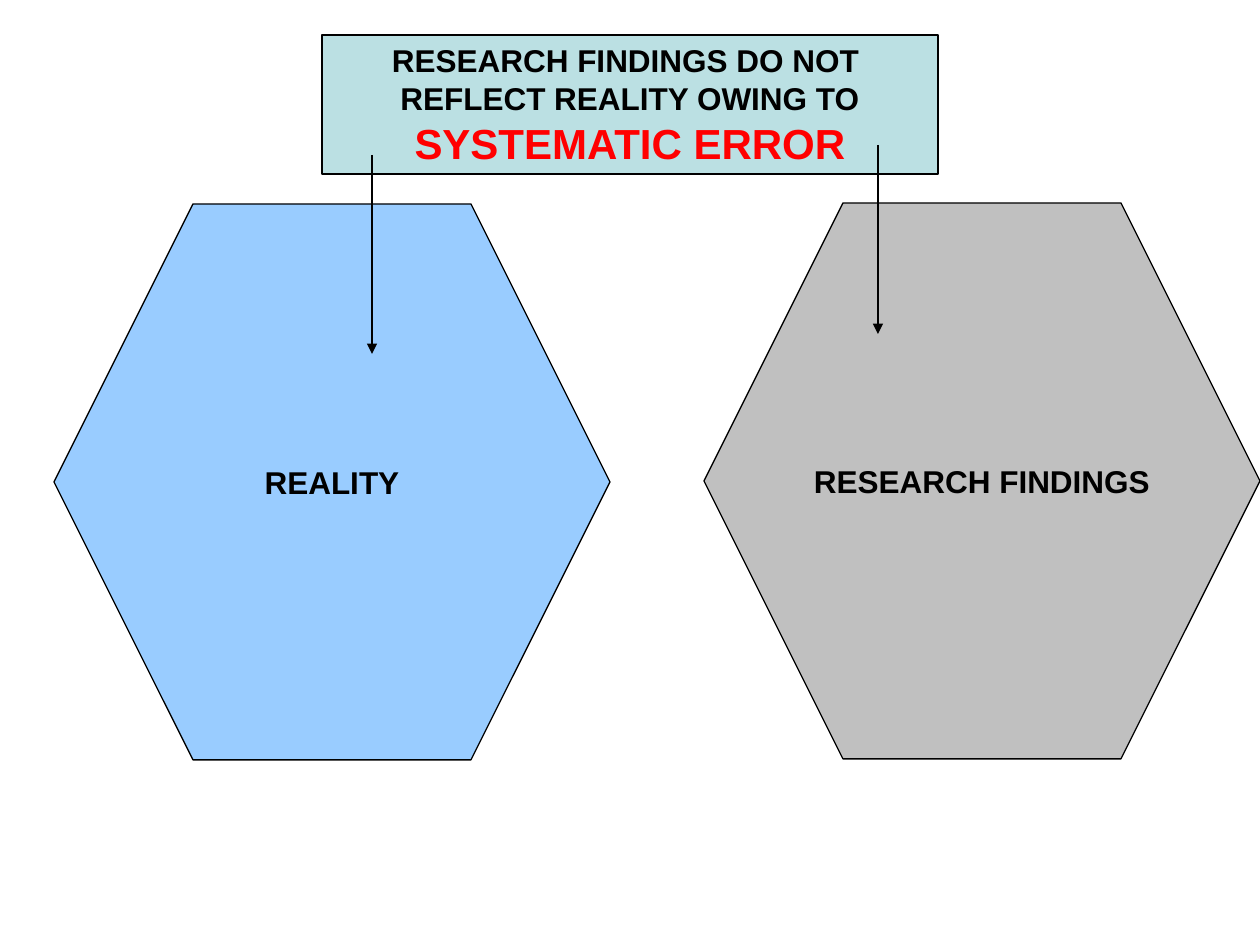
from dataclasses import dataclass

import pptx
import pptx.dml.color
import pptx.enum.shapes
import pptx.enum.text
import pptx.oxml
import pptx.oxml.ns
import pptx.util

PIXELS_PER_INCH = 126
SHAPES = pptx.enum.shapes.MSO_SHAPE


@dataclass(frozen=True)
class Theme:
    font: str = "Arial"
    ink: str = "000000"
    accent: str = "FF0000"
    banner: str = "BBE0E3"
    reality: str = "99CCFF"
    findings: str = "C0C0C0"
    body_size: int = 18
    accent_size: int = 24
    line_width: float = 0.75


THEME = Theme()


def px(length):
    return pptx.util.Emu(round(length * 914400 / PIXELS_PER_INCH))


def rgb(value):
    return pptx.dml.color.RGBColor.from_string(value)


def style_line(line):
    line.color.rgb = rgb(THEME.ink)
    line.width = pptx.util.Pt(THEME.line_width)


def add_label(slide, kind, box, fill, lines):
    """Add an outlined shape with centred bold lines of (text, size, colour)."""
    shape = slide.shapes.add_shape(kind, *(px(length) for length in box))
    shape.shadow.inherit = False
    shape.fill.solid()
    shape.fill.fore_color.rgb = rgb(fill)
    style_line(shape.line)

    frame = shape.text_frame
    frame.word_wrap = False
    frame.vertical_anchor = pptx.enum.text.MSO_ANCHOR.MIDDLE
    frame.text = "\n".join(text for text, _, _ in lines)
    for paragraph, (_, size, color) in zip(frame.paragraphs, lines):
        paragraph.alignment = pptx.enum.text.PP_ALIGN.CENTER
        paragraph.font.name = THEME.font
        paragraph.font.size = pptx.util.Pt(size)
        paragraph.font.bold = True
        paragraph.font.color.rgb = rgb(color)
    return shape


def add_hexagon(slide, left, top, fill, text):
    side = 556
    hexagon = add_label(slide, SHAPES.HEXAGON, (left, top, side, side), fill,
                        [(text, THEME.body_size, THEME.ink)])
    hexagon.adjustments[0] = 0.25


def add_down_arrow(slide, x, top, bottom):
    arrow = slide.shapes.add_connector(
        pptx.enum.shapes.MSO_CONNECTOR.STRAIGHT,
        px(x), px(top), px(x), px(bottom))
    style_line(arrow.line)
    # Arrowhead at the lower end, and no shadow
    head = pptx.oxml.parse_xml(
        f'<a:tailEnd {pptx.oxml.ns.nsdecls("a")} type="triangle"/>')
    arrow.line._get_or_add_ln().append(head)
    arrow._element.spPr.append(pptx.oxml.parse_xml(
        f'<a:effectLst {pptx.oxml.ns.nsdecls("a")}/>'))


def main():
    presentation = pptx.Presentation()
    presentation.slide_width = px(1260)
    presentation.slide_height = px(945)
    slide = presentation.slides.add_slide(presentation.slide_layouts[6])

    # The two compared worlds
    add_hexagon(slide, 704, 203, THEME.findings, "RESEARCH FINDINGS")
    add_hexagon(slide, 54, 204, THEME.reality, "REALITY")

    # Banner with the reason for the mismatch
    add_label(slide, SHAPES.RECTANGLE, (322, 35, 616, 139), THEME.banner, [
        ("RESEARCH FINDINGS DO NOT ", THEME.body_size, THEME.ink),
        ("REFLECT REALITY OWING TO", THEME.body_size, THEME.ink),
        ("SYSTEMATIC ERROR", THEME.accent_size, THEME.accent),
    ])

    # Arrows from the banner into each hexagon
    add_down_arrow(slide, 372, 155, 354)
    add_down_arrow(slide, 878, 145, 334)

    presentation.save("out.pptx")


if __name__ == "__main__":
    main()
